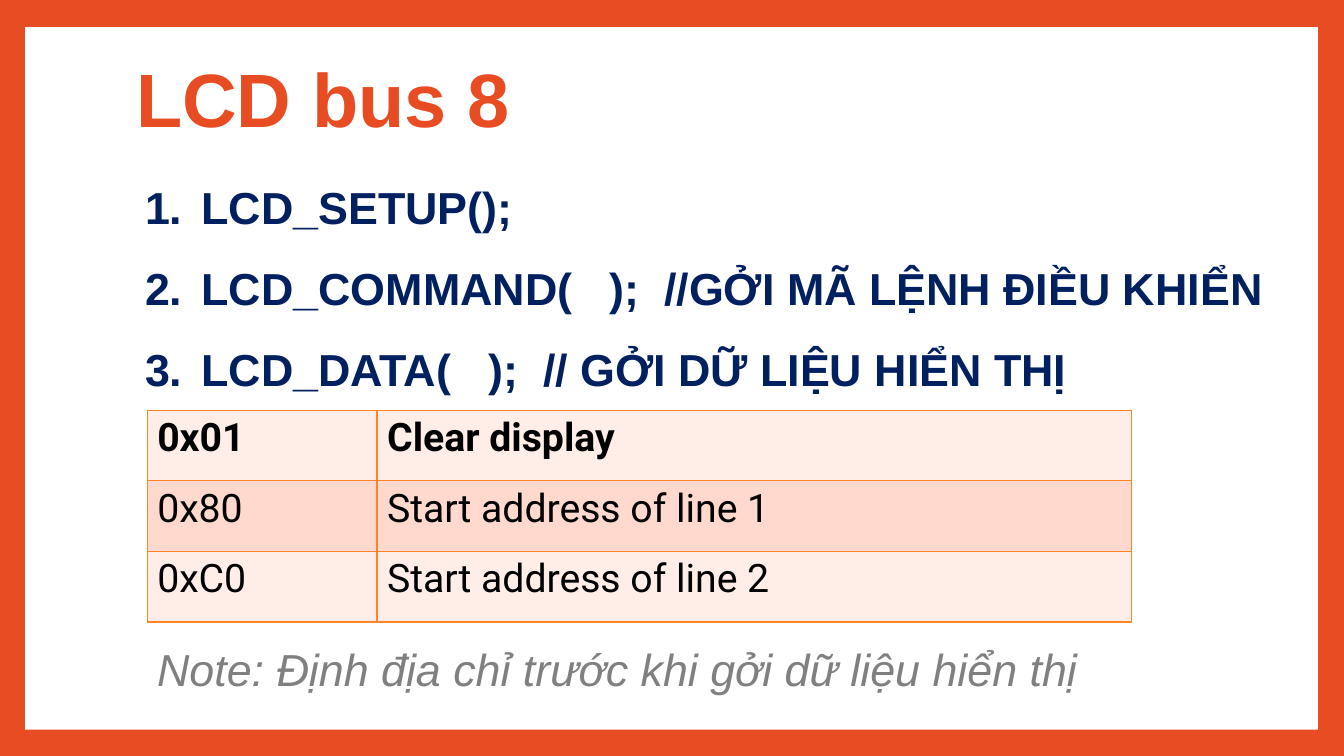
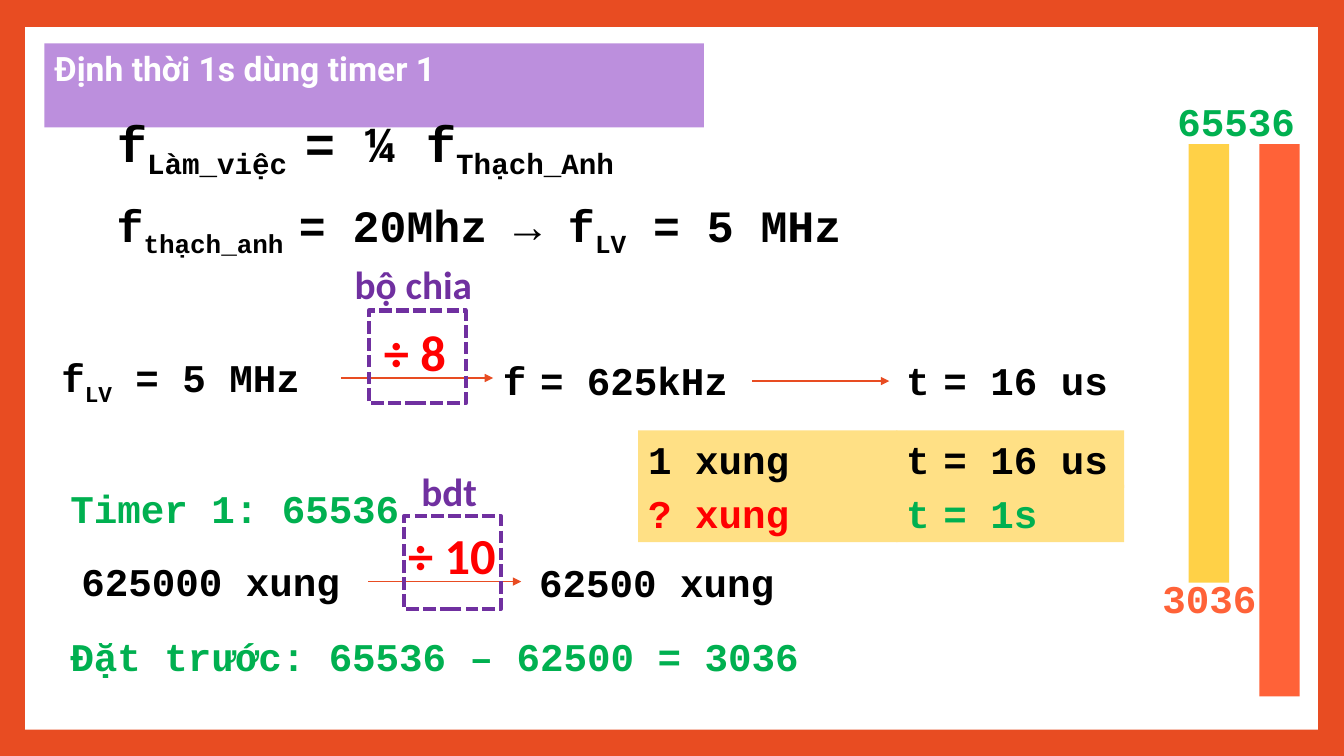
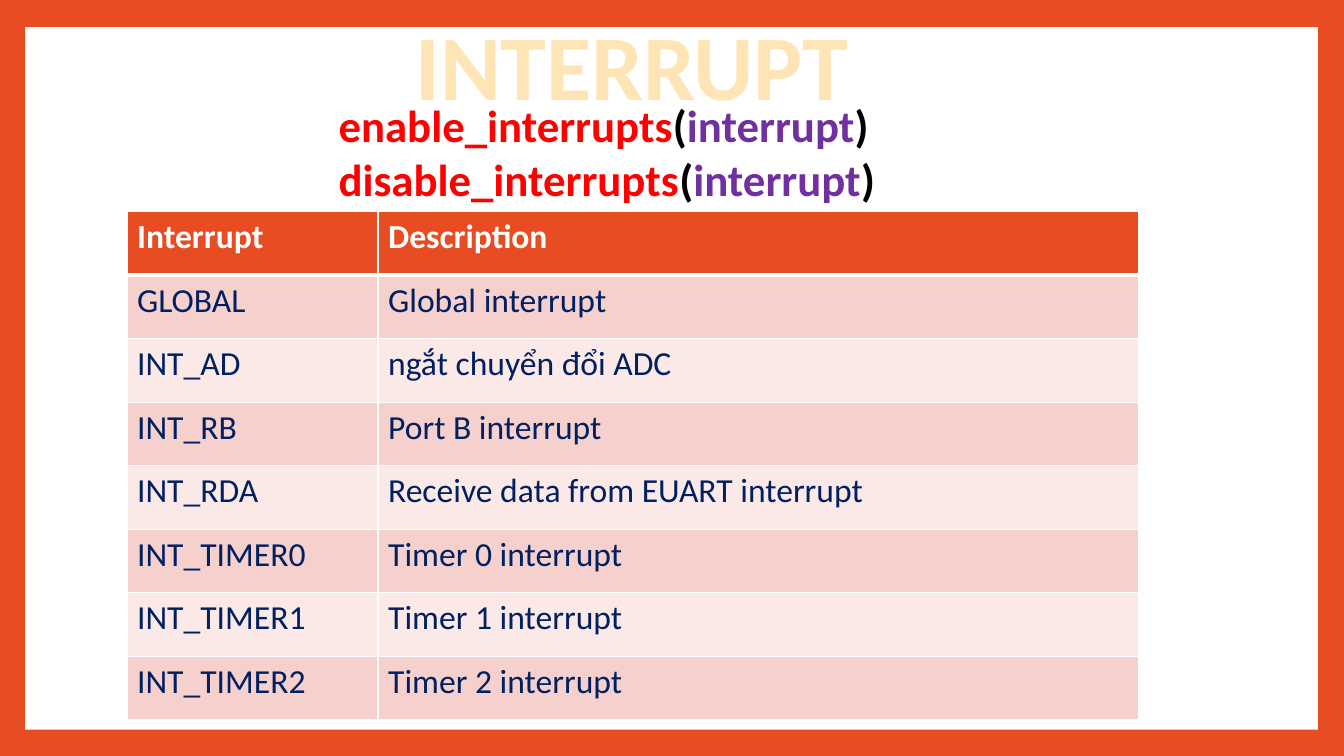
"""Build three microcontroller lesson slides: LCD bus, timer 1 and interrupts."""
from lxml import etree
from pptx import Presentation
from pptx import util as u
from pptx.dml.color import RGBColor
from pptx.enum import dml, shapes, text
from pptx.oxml.ns import qn

ORANGE, WHITE, BLACK, NAVY = "E84C22", "FFFFFF", "000000", "002060"
RED, GREEN, PURPLE, GRAY = "FF0000", "00B050", "7030A0", "808080"
AMBER, YELLOW, CORAL, LILAC = "FFE085", "FFD147", "FF6238", "BC8FDD"
CREAM, GOLD = "FFE5B5", "FFBD47"
PANEL = (0.25, 0.27, 12.82, 6.97)


def style(name, size, color, bold=True, **more):
    return dict(name=name, size=u.Pt(size), color=color, bold=bold, **more)


def mono(color=BLACK, size=28):
    return style("Courier New", size, color)


def label(color, size):
    return style("Calibri", size, color)


LCD_TITLE = "LCD bus 8"
LCD_CALLS = [
    "LCD_SETUP();",
    "LCD_COMMAND(   );  //GỞI MÃ LỆNH ĐIỀU KHIỂN",
    "LCD_DATA(   );  // GỞI DỮ LIỆU HIỂN THỊ",
]
LCD_CODES = [
    ("0x01", "Clear display"),
    ("0x80", "Start address of line 1"),
    ("0xC0", "Start address of line 2"),
]
LCD_NOTE = "Note: Định địa chỉ trước khi gởi dữ liệu hiển thị"

TIMER_TITLE = "Định thời 1s dùng timer 1"
# Parts between bars are subscripts.
TIMER_LINES = [
    ("f|Làm_việc |= ¼ f|Thạch_Anh", (1.06, 1.06, 5.65, 0.71), mono(size=36), False),
    ("f|thạch_anh |= 20Mhz → f|LV| = 5 MHz", (1.06, 1.91, 8.46, 0.64), mono(size=32), False),
    ("f|LV| = 5 MHz", (0.51, 3.46, 2.87, 0.57), mono(), True),
    ("f| |= 625kHz", (4.89, 3.49, 2.57, 0.57), mono(), True),
    ("t| |= 16 us", (8.89, 3.49, 2.26, 0.57), mono(), True),
    ("625000 xung", (0.71, 5.48, 2.94, 0.57), mono(), True),
    ("62500 xung", (5.25, 5.49, 2.94, 0.57), mono(), True),
    ("Timer 1: 65536", (0.6, 4.76, 3.94, 0.57), mono(GREEN), True),
    ("Đặt trước: 65536 – 62500 = 3036", (0.6, 6.22, 7.81, 0.57), mono(GREEN), True),
    ("65536", (11.58, 0.92, 1.38, 0.57), mono(GREEN), False),
    ("3036", (11.43, 5.65, 1.14, 0.57), mono(CORAL), False),
]
PULSE_RATIO = [
    (4.27, ("1 xung", BLACK), ("t| |= 16 us", BLACK)),
    (4.81, ("? xung", RED), ("t| |= 1s", GREEN)),
]
DIVIDERS = [
    ("bộ chia", (3.42, 2.53, 1.44, 0.57), "÷ 8", (3.71, 3.14, 0.85, 0.71), (3.66, 3.08)),
    ("bdt", (4.08, 4.59, 0.79, 0.57), "÷ 10", (3.95, 5.15, 1.08, 0.71), (4.01, 5.12)),
]
ARROWS = [(3.38, 4.89, 3.75), (7.46, 8.82, 3.78), (3.65, 5.17, 5.77)]
COUNT_BARS = [(12.49, 5.48, CORAL), (11.79, 4.35, YELLOW)]

INTERRUPT_TITLE = "INTERRUPT"
INTERRUPT_CALLS = [
    [(call, RED), ("(", BLACK), ("interrupt", PURPLE), (")", BLACK)]
    for call in ("enable_interrupts", "disable_interrupts")
]
INTERRUPTS = [
    ("Interrupt", "Description"),
    ("GLOBAL", "Global interrupt"),
    ("INT_AD", "ngắt chuyển đổi ADC"),
    ("INT_RB", "Port B interrupt"),
    ("INT_RDA", "Receive data from EUART interrupt"),
    ("INT_TIMER0", "Timer 0 interrupt"),
    ("INT_TIMER1", "Timer 1 interrupt"),
    ("INT_TIMER2", "Timer 2 interrupt"),
]


def rgb(color):
    return RGBColor.from_string(color)


def inches(values):
    return [u.Inches(value) for value in values]


def paint(part, color):
    part.fill.solid()
    part.fill.fore_color.rgb = rgb(color)


def child(parent, tag, **attributes):
    return etree.SubElement(parent, qn(tag), attributes)


def solid_line(parent, tag, color, points):
    line = child(parent, tag, w=str(u.Pt(points)))
    child(child(line, "a:solidFill"), "a:srgbClr", val=color)
    return line


def add_runs(paragraph, runs, fmt):
    if isinstance(runs, str):
        runs = [(runs, fmt["color"])]
    for content, color in runs:
        for order, part in enumerate(content.split("|")):
            run = paragraph.add_run()
            run.text = part
            for key, value in fmt.items():
                if key != "color":
                    setattr(run.font, key, value)
            run.font.color.rgb = rgb(color)
            if order % 2:
                run.font._element.set("baseline", "-25000")


def fill_text(frame, paragraphs, fmt, wrap=True, **layout):
    frame.word_wrap = wrap
    frame.auto_size = text.MSO_AUTO_SIZE.SHAPE_TO_FIT_TEXT
    frame.vertical_anchor = text.MSO_ANCHOR.TOP
    for order, runs in enumerate(paragraphs):
        paragraph = frame.add_paragraph() if order else frame.paragraphs[0]
        for key, value in layout.items():
            setattr(paragraph, key, value)
        add_runs(paragraph, runs, fmt)


def add_text(slide, paragraphs, at, fmt, wrap=True, fill=None, **layout):
    box = slide.shapes.add_textbox(*inches(at))
    if fill:
        paint(box, fill)
    fill_text(box.text_frame, paragraphs, fmt, wrap, **layout)
    return box.text_frame


def set_title(slide, words, at, fmt, wrap=True, alignment=text.PP_ALIGN.LEFT, **layout):
    title = slide.shapes.title
    title.left, title.top, title.width, title.height = inches(at)
    fill_text(title.text_frame, [words], fmt, wrap, alignment=alignment, **layout)
    return title


def add_rect(slide, at, fill=None):
    rect = slide.shapes.add_shape(shapes.MSO_SHAPE.RECTANGLE, *inches(at))
    rect.shadow.inherit = False
    if fill:
        paint(rect, fill)
        rect.line.fill.background()
    else:
        rect.fill.background()
    return rect


def add_arrow(slide, start, end, y):
    arrow = slide.shapes.add_connector(
        shapes.MSO_CONNECTOR.STRAIGHT, *inches((start, y, end, y)))
    arrow.line.color.rgb = rgb(ORANGE)
    arrow.line.width = u.Pt(0.79)
    child(arrow.line._get_or_add_ln(), "a:tailEnd", type="triangle")
    child(arrow._element.spPr, "a:effectLst")


def add_grid(slide, rows, at, widths, row_height, bands, border, fmt, heading, head_fill=None):
    table = slide.shapes.add_table(len(rows), len(widths), *inches(at)).table
    for column, width in zip(table.columns, widths):
        column.width = u.Inches(width)
    for r, values in enumerate(rows):
        table.rows[r].height = u.Inches(row_height)
        is_head = r == 0
        thick = {0: "B", 1: "T"}.get(r) if head_fill else None
        for c, value in enumerate(values):
            cell = table.cell(r, c)
            properties = cell._tc.get_or_add_tcPr()
            for side in "LRTB":
                solid_line(properties, f"a:ln{side}", border, 3 if side == thick else 1)
            paint(cell, head_fill if is_head and head_fill else bands[r % 2])
            add_runs(cell.text_frame.paragraphs[0], value, heading if is_head else fmt)


def set_master(deck, slide):
    master = deck.slide_master
    paint(master.background, ORANGE)
    panel = add_rect(slide, PANEL, WHITE).element
    panel.nvSpPr.cNvPr.id = 20
    master.shapes.element.insert(2, panel)


def build_lcd(slide):
    add_grid(slide, LCD_CODES, (1.46, 4.07, 9.76, 2.1), (2.28, 7.48), 0.7,
             ("FFEDE8", "FFD9CD"), "FF8427",
             style("Roboto", 28, BLACK, False), style("Roboto", 28, BLACK))
    calls = add_text(slide, LCD_CALLS, (1.34, 1.47, 11.73, 2.44),
                     style("Arial", 32, NAVY), line_spacing=1.5)
    indent = u.Inches(0.56)
    for paragraph in calls.paragraphs:
        properties = paragraph._p.get_or_add_pPr()
        properties.set("marL", str(indent))
        properties.set("indent", str(-indent))
        child(properties, "a:buFont", typeface="+mj-lt")
        child(properties, "a:buAutoNum", type="arabicPeriod")
    add_text(slide, [LCD_NOTE], (1.46, 6.32, 9.41, 0.64),
             style("Arial", 32, GRAY, False, italic=True), wrap=False)
    title = set_title(slide, LCD_TITLE, (1.25, 0.28, 10.8, 1.48),
                      style("Arial", 54, ORANGE), line_spacing=0.9)
    title.text_frame.auto_size = text.MSO_AUTO_SIZE.NONE
    title.text_frame.vertical_anchor = text.MSO_ANCHOR.MIDDLE


def build_timer(slide):
    title = set_title(slide, TIMER_TITLE, (0.44, 0.43, 6.54, 0.5), style("Roboto", 24, WHITE))
    paint(title, LILAC)
    for left, height, color in COUNT_BARS:
        add_rect(slide, (left, 1.43, 0.4, height), color)
    for words, at, fmt, wrap in TIMER_LINES:
        add_text(slide, [words], at, fmt, wrap)
    for top, (pulses, pulse_color), (time, time_color) in PULSE_RATIO:
        add_text(slide, [pulses], (6.33, top, 2.57, 0.57), mono(pulse_color), fill=AMBER)
        add_text(slide, [time], (8.89, top, 2.26, 0.57), mono(time_color), fill=AMBER)
    for arrow in ARROWS:
        add_arrow(slide, *arrow)
    for name, name_at, factor, factor_at, corner in DIVIDERS:
        add_text(slide, [factor], factor_at, label(RED, 36), wrap=False)
        frame = add_rect(slide, (*corner, 0.96, 0.92))
        frame.line.color.rgb = rgb(PURPLE)
        frame.line.width = u.Pt(3)
        frame.line.dash_style = dml.MSO_LINE.SQUARE_DOT
        add_text(slide, [name], name_at, label(PURPLE, 28), wrap=False)


def build_interrupt(slide):
    add_grid(slide, INTERRUPTS, (1.26, 2.1, 10.03, 5.05), (2.49, 7.54), 0.63,
             ("FBE9E8", "F6D0CD"), WHITE,
             style("Calibri", 24, NAVY, False), label(WHITE, 24), ORANGE)
    add_text(slide, INTERRUPT_CALLS, (3.26, 0.92, 7.64, 1.18), label(BLACK, 32))
    title = set_title(slide, INTERRUPT_TITLE, (3.73, 0.03, 5.08, 1.21),
                      label(CREAM, 66), wrap=False, alignment=text.PP_ALIGN.CENTER)
    letters = title.text_frame.paragraphs[0].runs[0].font._element
    letters.insert(0, solid_line(letters, "a:ln", GOLD, 1.75))


def main():
    deck = Presentation()
    deck.slide_width, deck.slide_height = inches((13.33, 7.5))
    for order, build in enumerate((build_lcd, build_timer, build_interrupt)):
        slide = deck.slides.add_slide(deck.slide_layouts[5])
        if order == 0:
            set_master(deck, slide)
        build(slide)
    deck.save("out.pptx")


if __name__ == "__main__":
    main()
